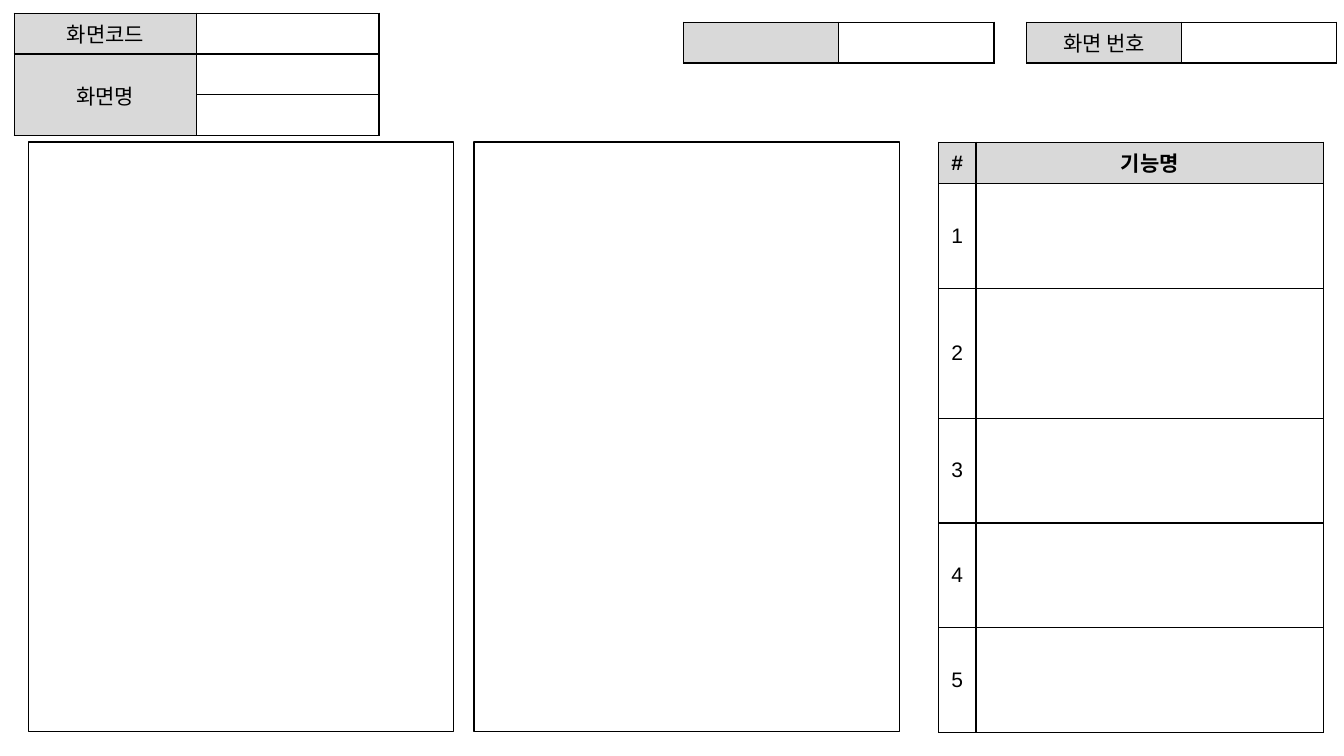
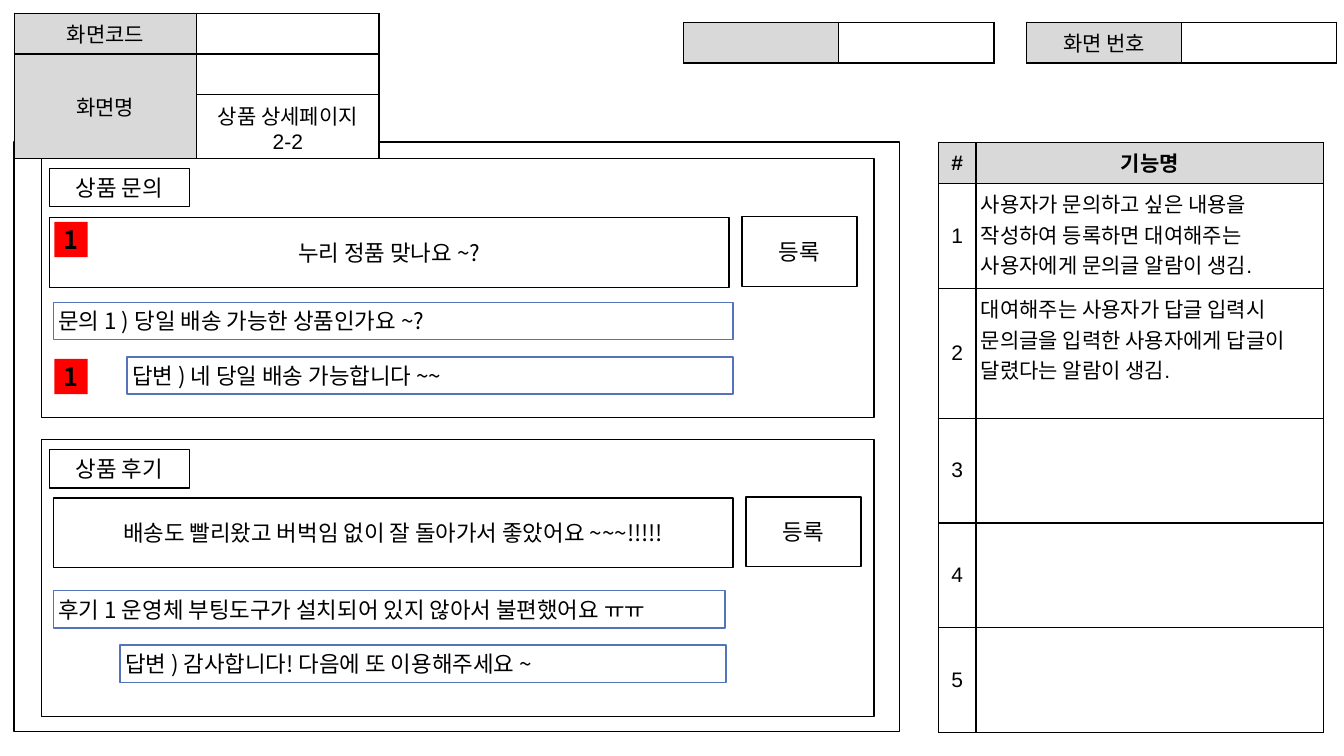
from dataclasses import dataclass

from lxml import etree
from pptx import Presentation
from pptx.dml.color import RGBColor
from pptx.enum.shapes import MSO_SHAPE
from pptx.enum.text import MSO_ANCHOR, PP_ALIGN
from pptx.oxml.ns import qn
from pptx.util import Inches, Pt

RECT = MSO_SHAPE.RECTANGLE
MIDDLE, TOP = MSO_ANCHOR.MIDDLE, MSO_ANCHOR.TOP
CENTER, LEFT = PP_ALIGN.CENTER, PP_ALIGN.LEFT

COLORS = {"ink": "000000", "paper": "FFFFFF", "head": "D9D9D9",
          "blue": "5573BB", "red": "FF0000"}
LATIN, HANGUL = "Arial", "Noto Sans CJK KR"
PAD = Inches(0.05)
TOP_Y, FRAME_H = 1.41, 5.85


@dataclass(frozen=True)
class Look:
    fill: str | None = "paper"
    line: str | None = "ink"
    size: int = 16
    bold: bool = False
    align: PP_ALIGN = CENTER


@dataclass(frozen=True)
class Box:
    x: float
    y: float
    w: float
    h: float
    text: str = ""
    look: Look = Look()


@dataclass(frozen=True)
class Grid:
    x: float
    y: float
    cols: list[float]
    rows: list[float]
    cells: list[list[str]]
    heads: set[tuple[int, int]]
    bold_top: bool = False
    merge: bool = False


POST = Look(fill=None, line="blue", align=LEFT)
BADGE = Look(fill="red", line=None, size=18, bold=True)


def tint(name: str) -> RGBColor:
    return RGBColor.from_string(COLORS[name])


# Text and borders
def put_text(frame, text: str, *, size: int = 15, bold: bool = False,
             font: str = LATIN, align: PP_ALIGN = CENTER) -> None:
    for i, line in enumerate(text.split("\n")):
        para = frame.add_paragraph() if i else frame.paragraphs[0]
        para.alignment = align
        run = para.add_run()
        run.text = line
        run.font.name, run.font.size = font, Pt(size)
        run.font.bold = bold
        run.font.color.rgb = tint("ink")
        east = etree.SubElement(run.font._element, qn("a:ea"))
        east.set("typeface", HANGUL)


def edge_cell(cell) -> None:
    props = cell._tc.get_or_add_tcPr()
    for side in ("lnL", "lnR", "lnT", "lnB"):
        line = etree.SubElement(props, qn(f"a:{side}"), w=str(Pt(1)))
        fill = etree.SubElement(line, qn("a:solidFill"))
        etree.SubElement(fill, qn("a:srgbClr"), val=COLORS["ink"])


# Boxes and tables
def draw_box(slide, box: Box) -> None:
    look = box.look
    shape = slide.shapes.add_shape(
        RECT, Inches(box.x), Inches(box.y), Inches(box.w), Inches(box.h))
    shape.shadow.inherit = False
    if look.fill:
        shape.fill.solid()
        shape.fill.fore_color.rgb = tint(look.fill)
    else:
        shape.fill.background()
    if look.line:
        shape.line.color.rgb = tint(look.line)
        shape.line.width = Pt(1)
    else:
        shape.line.fill.background()
    if box.text:
        frame = shape.text_frame
        frame.word_wrap = True
        frame.vertical_anchor = MIDDLE
        frame.margin_left = frame.margin_right = PAD
        frame.margin_top = frame.margin_bottom = PAD
        put_text(frame, box.text, size=look.size, bold=look.bold,
                 font=HANGUL, align=look.align)


def draw_grid(slide, grid: Grid) -> None:
    table = slide.shapes.add_table(
        len(grid.rows), len(grid.cols), Inches(grid.x), Inches(grid.y),
        Inches(sum(grid.cols)), Inches(sum(grid.rows))).table
    table.first_row = table.horz_banding = False
    for col, width in zip(table.columns, grid.cols):
        col.width = Inches(width)
    for row, height in zip(table.rows, grid.rows):
        row.height = Inches(height)
    for r, line in enumerate(grid.cells):
        for c, text in enumerate(line):
            cell = table.cell(r, c)
            edge_cell(cell)
            cell.fill.solid()
            cell.fill.fore_color.rgb = tint("head" if (r, c) in grid.heads else "paper")
            cell.margin_left = cell.margin_right = PAD
            cell.margin_top = cell.margin_bottom = PAD
            # Long notes start at the top left
            note = grid.bold_top and r > 0 and c == 1
            cell.vertical_anchor = TOP if note else MIDDLE
            if text:
                put_text(cell.text_frame, text, bold=grid.bold_top and r == 0,
                         align=LEFT if note else CENTER)
    if grid.merge:
        table.cell(1, 0).merge(table.cell(2, 0))


# Page shared by all screens
def add_page(deck, frames: list[Box], notes: list[str], name: str = "",
             name_h: float = 0.4) -> object:
    slide = deck.slides.add_slide(deck.slide_layouts[6])
    for x, label in ((10.18, "화면 번호"), (6.78, "")):
        draw_grid(slide, Grid(x, 0.22, [1.54] * 2, [0.4], [[label, ""]], {(0, 0)}))
    tasks = [["#", "기능명"]]
    for i in range(5):
        tasks.append([str(i + 1), notes[i] if i < len(notes) else ""])
    draw_grid(slide, Grid(9.31, TOP_Y, [0.37, 3.45], [0.41, 1.04, 1.29] + [1.04] * 3,
                          tasks, {(0, 0), (0, 1)}, bold_top=True))
    for frame in frames:
        draw_box(slide, frame)
    draw_grid(slide, Grid(0.14, 0.13, [1.81] * 2, [0.4, 0.4, name_h],
                          [["화면코드", ""], ["화면명", ""], ["", name]],
                          {(0, 0), (1, 0), (2, 0)}, merge=True))
    return slide


# Question or review panel
def add_panel(slide, y: float, h: float, title: str, entry: str, x: float,
              entry_y: float, posts: list[Box]) -> None:
    parts = [Box(0.41, y, 8.26, h),
             Box(0.49, y + 0.1, 1.39, 0.38, title),
             Box(x, entry_y, 6.74, 0.69, entry),
             Box(x + 6.87, entry_y - 0.01, 1.14, 0.69, "등록")]
    for part in parts + posts:
        draw_box(slide, part)


def main() -> None:
    deck = Presentation()
    deck.slide_width, deck.slide_height = Inches(13.33), Inches(7.5)

    # Empty form
    add_page(deck, [Box(x, TOP_Y, 4.22, FRAME_H) for x in (0.28, 4.7)], [])

    # Product detail page
    notes = ["사용자가 문의하고 싶은 내용을 작성하여 등록하면 대여해주는 사용자에게 문의글 알람이 생김.",
             "대여해주는 사용자가 답글 입력시 문의글을 입력한 사용자에게 답글이 달렸다는 알람이 생김."]
    slide = add_page(deck, [Box(0.14, TOP_Y, 8.78, FRAME_H)], notes,
                     "상품 상세페이지\n2-2", 0.63)
    add_panel(slide, 1.57, 2.57, "상품 문의", "누리 정품 맞나요 ~?", 0.49, 2.16, [
        Box(0.53, 3, 6.74, 0.37, "문의 1 ) 당일 배송 가능한 상품인가요 ~?", POST),
        Box(1.26, 3.54, 6.01, 0.37, "답변 ) 네 당일 배송 가능합니다 ~~", POST)])
    add_panel(slide, 4.36, 2.75, "상품 후기",
              "배송도 빨리왔고 버벅임 없이 잘 돌아가서 좋았어요 ~~~!!!!!", 0.53, 4.94, [
                  Box(0.53, 5.86, 6.66, 0.37,
                      "후기 1 운영체 부팅도구가 설치되어 있지 않아서 불편했어요 ㅠㅠ", POST),
                  Box(1.19, 6.4, 6.01, 0.37,
                      "답변 ) 감사합니다! 다음에 또 이용해주세요 ~", POST)])
    for y in (2.2, 3.56):
        draw_box(slide, Box(0.54, y, 0.33, 0.35, "1", BADGE))

    deck.save("out.pptx")


if __name__ == "__main__":
    main()
